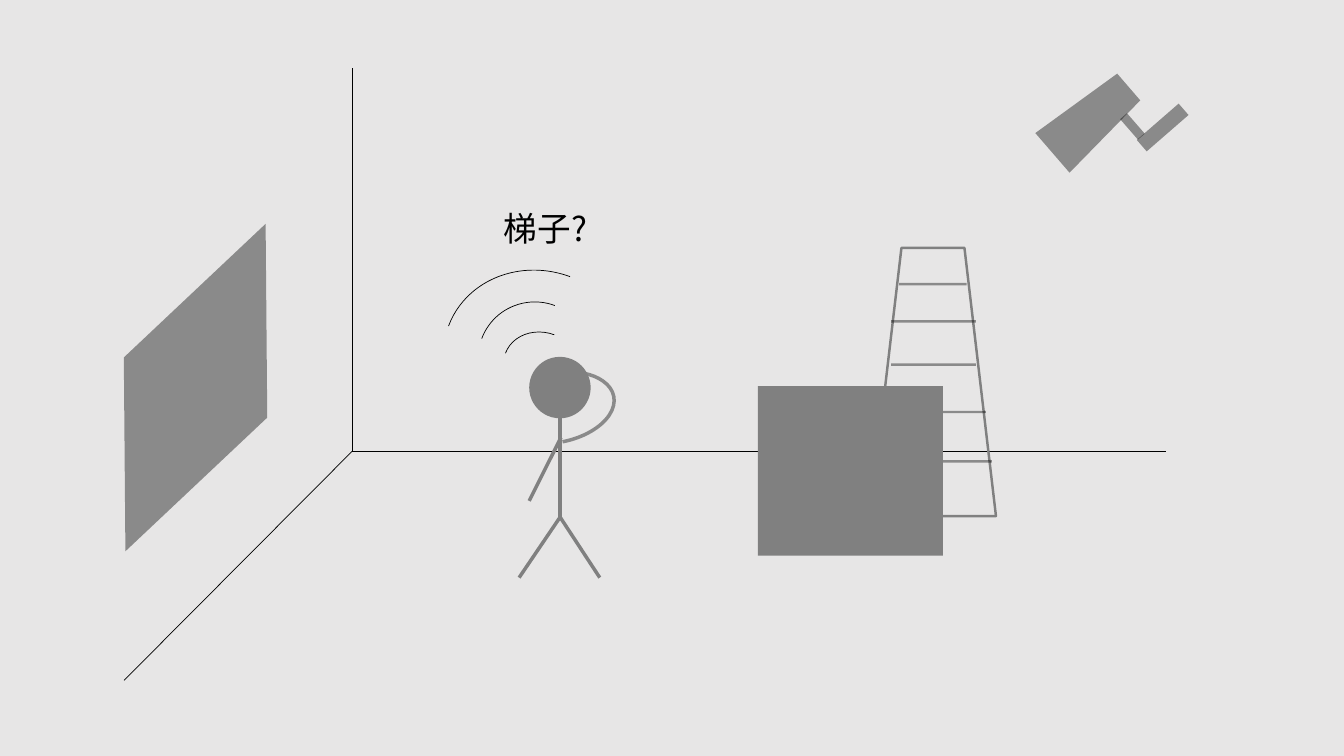
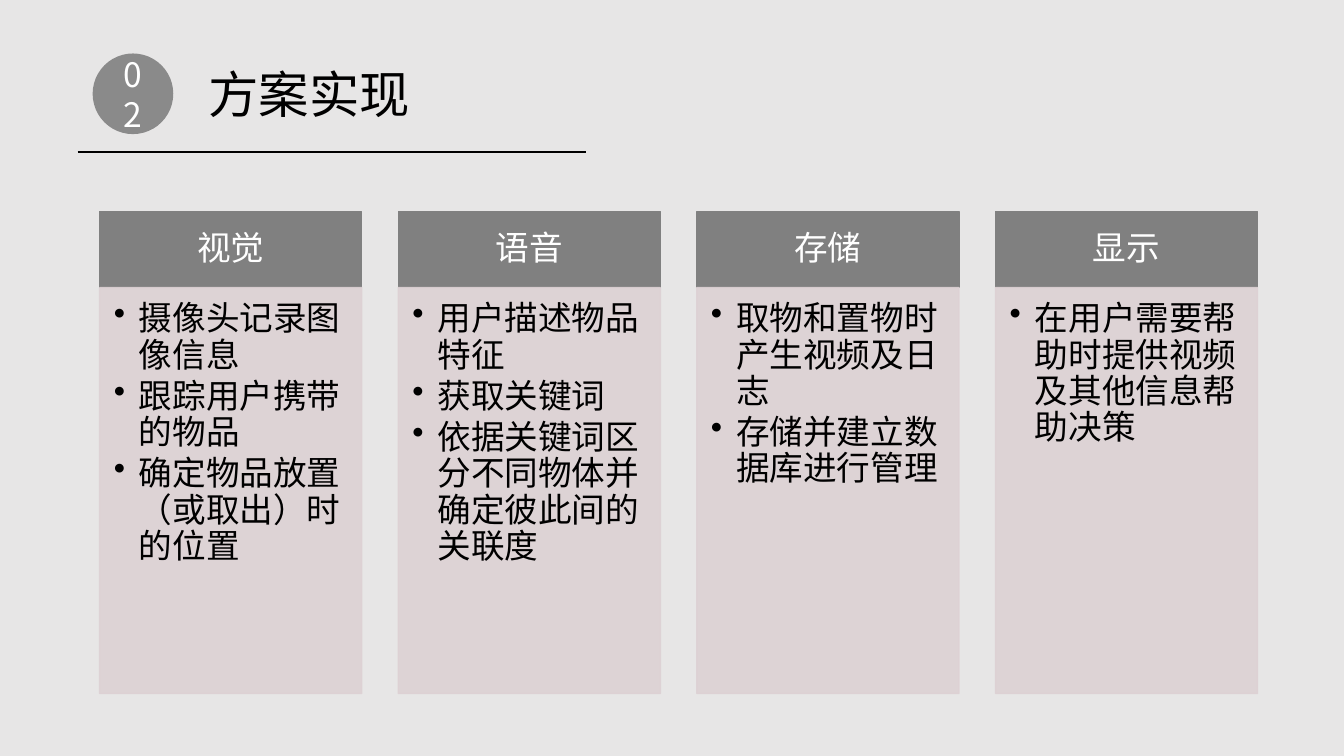
"""Build two slides: a room sketch and a four-column plan."""
from dataclasses import dataclass

from lxml import etree
from pptx import Presentation
from pptx.dml.color import RGBColor
from pptx.enum.shapes import MSO_CONNECTOR, MSO_SHAPE
from pptx.enum.text import MSO_ANCHOR, MSO_AUTO_SIZE, PP_ALIGN
from pptx.oxml.ns import qn
from pptx.util import Pt

STRAIGHT = MSO_CONNECTOR.STRAIGHT
RECTANGLE = MSO_SHAPE.RECTANGLE
TRAPEZOID = MSO_SHAPE.TRAPEZOID
PARALLELOGRAM = MSO_SHAPE.PARALLELOGRAM
ELLIPSE = MSO_SHAPE.OVAL
ARC = MSO_SHAPE.ARC
TOP, MIDDLE = MSO_ANCHOR.TOP, MSO_ANCHOR.MIDDLE
LEFT, CENTER = PP_ALIGN.LEFT, PP_ALIGN.CENTER
FIT_SHAPE = MSO_AUTO_SIZE.SHAPE_TO_FIT_TEXT
TITLE_ONLY, BLANK = 5, 6


@dataclass(frozen=True)
class Theme:
    """Colours, opacities, type and line widths shared by the slides."""
    paper: str = "E7E6E6"
    ink: str = "000000"
    gray: str = "808080"
    panel: str = "DDD1D4"
    white: str = "FFFFFF"
    shade: float = 0.4
    panel_opacity: float = 0.9
    font: str = "Noto Sans CJK SC"
    title_size: float = 36
    body_size: float = 24
    hairline: float = 0.5
    rule: float = 1
    ladder: float = 1.75
    limb: float = 2.5


THEME = Theme()

COLUMNS = (
    ("视觉", ("摄像头记录图像信息", "跟踪用户携带的物品", "确定物品放置（或取出）时的位置")),
    ("语音", ("用户描述物品特征", "获取关键词", "依据关键词区分不同物体并确定彼此间的关联度")),
    ("存储", ("取物和置物时产生视频及日志", "存储并建立数据库进行管理")),
    ("显示", ("在用户需要帮助时提供视频及其他信息帮助决策",)),
)
COLUMN_LEFT, COLUMN_STEP, COLUMN_WIDTH = 71.2, 213.3, 187.2
HEADING_TOP, HEADING_HEIGHT, PANEL_HEIGHT = 151.2, 54.2, 290


def set_opacity(shape, opacity):
    """Apply one opacity to the fill and line colours of a shape."""
    if opacity < 1:
        for color in shape.element.spPr.iter(qn("a:srgbClr")):
            etree.SubElement(color, qn("a:alpha"), val=str(round(opacity * 100000)))


def set_line(shape, color, width):
    """Give a shape or connector a solid line."""
    shape.line.color.rgb = RGBColor.from_string(color)
    shape.line.width = Pt(width)


def add_line(shapes, start, end, color, width, opacity=1):
    """Draw a straight line between two points."""
    line = shapes.add_connector(STRAIGHT, *map(Pt, start + end))
    set_line(line, color, width)
    set_opacity(line, opacity)
    etree.SubElement(line.element.spPr, qn("a:effectLst"))


def add_shape(shapes, kind, area, fill=None, line=None, width=0, opacity=1,
              rotation=0, adjustments=()):
    """Draw a preset shape in an area of left, top, width and height."""
    shape = shapes.add_shape(kind, *map(Pt, area))
    shape.shadow.inherit = False
    shape.rotation = rotation
    for index, value in enumerate(adjustments):
        shape.adjustments[index] = value
    if fill:
        shape.fill.solid()
        shape.fill.fore_color.rgb = RGBColor.from_string(fill)
    else:
        shape.fill.background()
    if line:
        set_line(shape, line, width)
    else:
        shape.line.fill.background()
    set_opacity(shape, opacity)
    return shape


def write_text(box, text, size, color, align=LEFT, anchor=TOP, insets=None):
    """Fill a shape with text and format every run."""
    frame = box.text_frame
    frame.text = text
    frame.word_wrap = True
    frame.vertical_anchor = anchor
    if insets:
        (frame.margin_left, frame.margin_top,
         frame.margin_right, frame.margin_bottom) = map(Pt, insets)
    for para in frame.paragraphs:
        para.alignment = align
        for span in para.runs:
            span.font.size = Pt(size)
            span.font.name = THEME.font
            span.font.color.rgb = RGBColor.from_string(color)
            etree.SubElement(span.font._element, qn("a:ea"), typeface=THEME.font)
    return frame


def space_paragraphs(frame, after):
    """Tighten the lines and set the gap below each paragraph."""
    for para in frame.paragraphs:
        para.line_spacing = 0.9
        para.space_after = Pt(after)


def add_bullets(frame, indent):
    """Give each paragraph a bullet with a hanging indent."""
    for para in frame.paragraphs:
        properties = para._p.get_or_add_pPr()
        properties.set("marL", str(Pt(indent)))
        properties.set("indent", str(-Pt(indent)))
        etree.SubElement(properties, qn("a:buChar"), char="•")


def add_room(page):
    """Draw the three edges that meet in the room corner."""
    edges = page.shapes.add_group_shape().shapes
    corner = (251.5, 322.4)
    for end in ((251.5, 48.4), (833, 322.4), (88.6, 486)):
        add_line(edges, corner, end, THEME.ink, THEME.hairline)


def add_camera_and_screen(page):
    """Draw the wall camera with its bracket, and the wall screen."""
    for kind, area, rotation, adjustments in (
        (TRAPEZOID, (760.3, 49.7, 37.4, 72), 49.2, (0.163,)),
        (RECTANGLE, (810.7, 85.7, 39.6, 10.8), 139, ()),
        (RECTANGLE, (799.2, 87.1, 19.4, 6.5), 49, ()),
        (PARALLELOGRAM, (23, 226.1, 233.3, 101.5), 136.7, (0.927,)),
    ):
        add_shape(page.shapes, kind, area, THEME.ink, opacity=THEME.shade,
                  rotation=rotation, adjustments=adjustments)


def add_body(page):
    """Draw the trunk, legs and lowered arm of the person."""
    hip = (400.1, 369.4)
    for start, end in (
        ((400.1, 298.8), hip),
        (hip, (370.8, 412.6)),
        (hip, (428.4, 412.6)),
        ((400.7, 312.5), (378, 357.8)),
    ):
        add_line(page.shapes, start, end, THEME.gray, THEME.limb)


def add_ladder(page):
    """Draw the ladder frame and its rungs."""
    parts = page.shapes.add_group_shape().shapes
    add_shape(parts, TRAPEZOID, (621.4, 177.1, 90, 191.5),
              line=THEME.gray, width=THEME.ladder)
    for left, right, height in ((642.2, 690.5, 203), (636.5, 697, 229.5),
                                (636.5, 697, 260.5), (630.7, 704.2, 294.3),
                                (626.4, 708.5, 329.5)):
        add_line(parts, (left, height), (right, height),
                 THEME.ink, THEME.ladder, THEME.shade)


def add_head(page):
    """Draw the raised arm and the head in front of it."""
    add_shape(page.shapes, ARC, (372.2, 249.1, 49.7, 84.2), line=THEME.ink,
              width=THEME.limb, opacity=THEME.shade, rotation=79,
              adjustments=(138.503, 0))
    add_shape(page.shapes, ELLIPSE, (378, 254.9, 43.9, 43.9), THEME.gray)


def add_speech(page):
    """Write the spoken word above three sound waves."""
    word = page.shapes.add_textbox(*map(Pt, (352.8, 144.7, 101.5, 36)))
    write_text(word, "梯子?", THEME.body_size, THEME.ink).auto_size = FIT_SHAPE
    waves = page.shapes.add_group_shape().shapes
    for area in ((362.9, 234, 49, 56.2), (342, 215.3, 80.6, 81.4),
                 (321.8, 187.9, 126.7, 138.2)):
        add_shape(waves, ARC, area, line=THEME.ink, width=THEME.hairline,
                  rotation=290.4)


def add_title(page, number, text):
    """Format the title beside a numbered badge and above a rule."""
    badge = add_shape(page.shapes, ELLIPSE, (66.2, 38.2, 57.6, 57.6),
                      THEME.ink, opacity=THEME.shade)
    write_text(badge, number, THEME.body_size, THEME.white, CENTER, MIDDLE)
    title = page.shapes.title
    title.left, title.top, title.width, title.height = map(
        Pt, (141.8, 41.8, 159.8, 51.1))
    frame = write_text(title, text, THEME.title_size, THEME.ink)
    frame.word_wrap = False
    frame.auto_size = FIT_SHAPE
    add_line(page.shapes, (55.4, 108.7), (418.3, 108.7), THEME.ink, THEME.rule)


def add_column(shapes, left, heading, points):
    """Draw a heading bar with a bulleted panel below it."""
    bar = add_shape(shapes, RECTANGLE,
                    (left, HEADING_TOP, COLUMN_WIDTH, HEADING_HEIGHT),
                    THEME.gray, THEME.gray, THEME.rule)
    frame = write_text(bar, heading, THEME.body_size, THEME.white, CENTER,
                       MIDDLE, (13.4, 7.7, 13.4, 7.7))
    space_paragraphs(frame, 8.4)
    panel = add_shape(shapes, RECTANGLE,
                      (left, HEADING_TOP + HEADING_HEIGHT, COLUMN_WIDTH, PANEL_HEIGHT),
                      THEME.panel, THEME.panel, THEME.rule, THEME.panel_opacity)
    frame = write_text(panel, "\n".join(points), THEME.body_size, THEME.ink,
                       insets=(10.1, 10.1, 13.4, 15.1))
    space_paragraphs(frame, 3.6)
    add_bullets(frame, 18)


def build_scene(deck):
    """Build the sketch of a person looking for a ladder."""
    page = deck.slides.add_slide(deck.slide_layouts[BLANK])
    add_room(page)
    add_camera_and_screen(page)
    add_body(page)
    add_ladder(page)
    add_shape(page.shapes, RECTANGLE, (541.4, 275.8, 132.2, 121), THEME.gray)
    add_head(page)
    add_speech(page)


def build_plan(deck):
    """Build the four-column plan."""
    page = deck.slides.add_slide(deck.slide_layouts[TITLE_ONLY])
    add_title(page, "02", "方案实现")
    columns = page.shapes.add_group_shape().shapes
    for index, (heading, points) in enumerate(COLUMNS):
        add_column(columns, COLUMN_LEFT + index * COLUMN_STEP, heading, points)


def main():
    """Create, fill and save the deck."""
    deck = Presentation()
    deck.slide_width, deck.slide_height = Pt(960), Pt(540)
    backdrop = deck.slide_master.background.fill
    backdrop.solid()
    backdrop.fore_color.rgb = RGBColor.from_string(THEME.paper)
    build_scene(deck)
    build_plan(deck)
    deck.save("out.pptx")


main()
